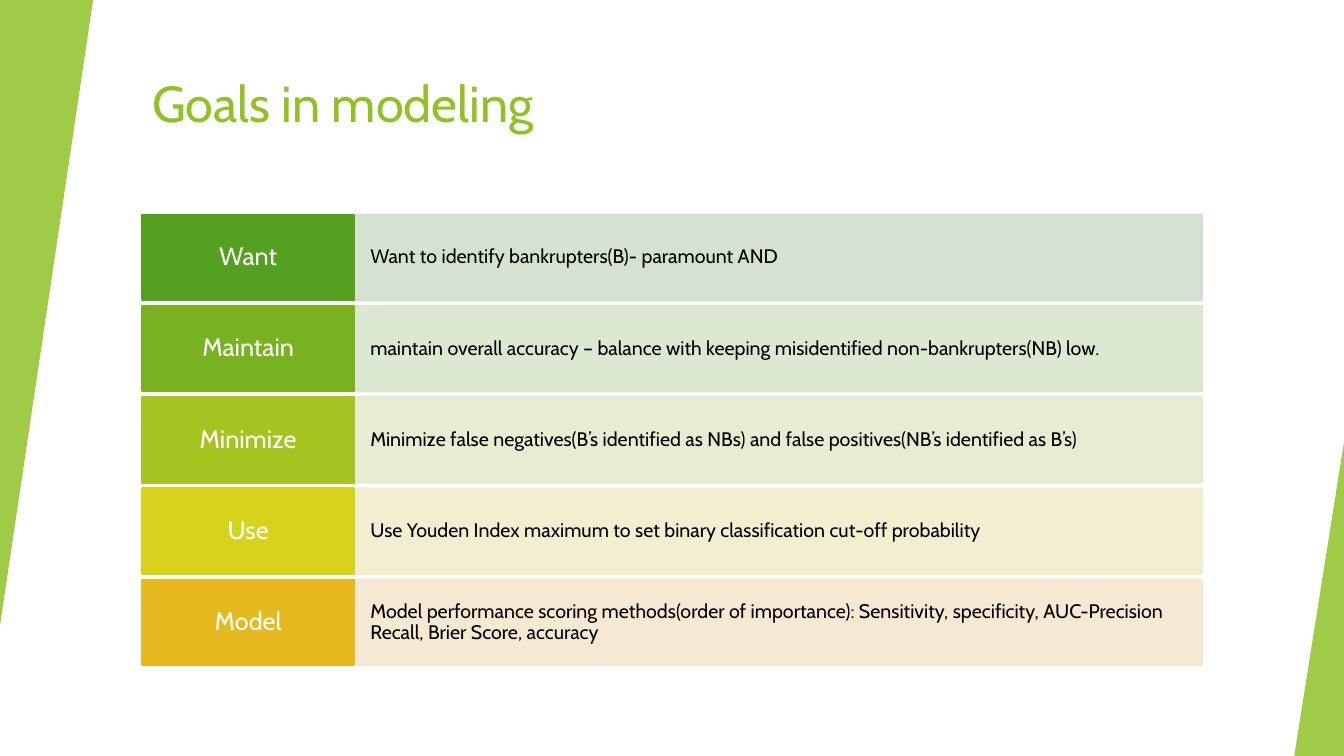
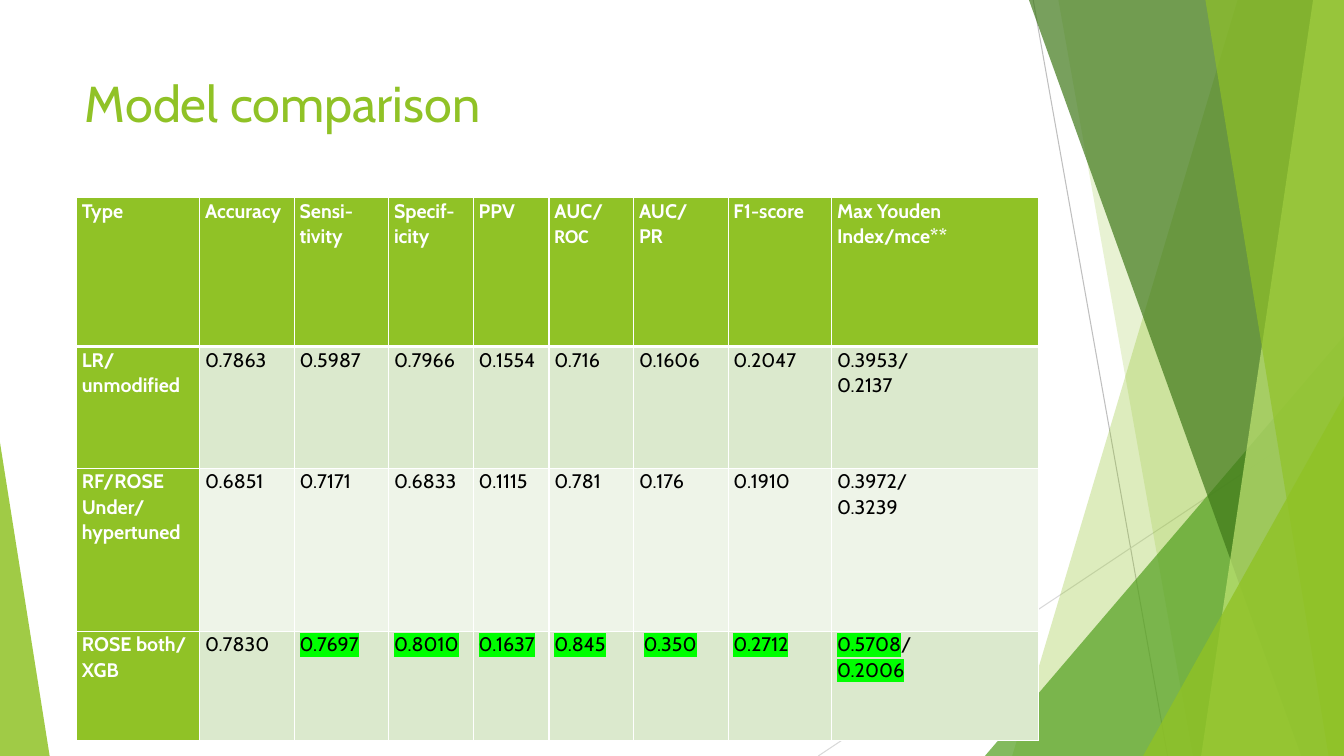
import lxml.etree
import pptx
import pptx.dml.color
import pptx.enum.shapes
import pptx.enum.text
import pptx.oxml.ns
import pptx.util

Pt = pptx.util.Pt
rgb = pptx.dml.color.RGBColor.from_string
qn = pptx.oxml.ns.qn
sub = lxml.etree.SubElement
kinds = pptx.enum.shapes.MSO_SHAPE
align = pptx.enum.text.PP_ALIGN
anchor = pptx.enum.text.MSO_ANCHOR

# Shared look
WIDE, HIGH = 960, 540
FACE = "Cabin"
LIME, LEAF, WHITE, BLACK = "90C226", "54A021", "FFFFFF", "000000"


def paint(shape, hue, alpha=100, edge=0):
    """Fill a shape, with an outline of the same colour if edge is given."""
    shape.shadow.inherit = False
    shape.fill.solid()
    shape.fill.fore_color.rgb = rgb(hue)
    if edge:
        shape.line.color.rgb = rgb(hue)
        shape.line.width = Pt(edge)
    else:
        shape.line.fill.background()
    if alpha < 100:
        for tint in shape.element.spPr.iter(qn("a:srgbClr")):
            sub(tint, qn("a:alpha"), val=str(alpha * 1000))


def wedge(slide, box, tip, hue, alpha, turn=0):
    """Add a right-angled triangle with its tip at 0 (left) or 1 (right)."""
    shape = slide.shapes.add_shape(kinds.ISOSCELES_TRIANGLE, *map(Pt, box))
    shape.adjustments[0] = tip
    shape.rotation = turn
    paint(shape, hue, alpha)


deck = pptx.Presentation()
deck.slide_width, deck.slide_height = Pt(WIDE), Pt(HIGH)

# Slides and titles
heads = [
    ("Goals in modeling", 101.5, 803),
    ("Model comparison", 53.5, 677),
]
slides = []
for text, left, width in heads:
    slide = deck.slides.add_slide(deck.slide_layouts[5])
    title = slide.shapes.title
    place = {"left": left, "top": 48, "width": width, "height": 86}
    for key, value in place.items():
        setattr(title, key, Pt(value))
    frame = title.text_frame
    frame.text = text
    frame.vertical_anchor = anchor.TOP
    frame.auto_size = pptx.enum.text.MSO_AUTO_SIZE.NONE
    para = frame.paragraphs[0]
    para.alignment = align.LEFT
    for key, value in {"name": FACE, "size": Pt(36)}.items():
        setattr(para.font, key, value)
    para.font.color.rgb = rgb(LIME)
    slides.append(slide)
goals, models = slides

# Goals: side wedges
wedge(goals, (0, 0, 66.5, 446.5), 1, LIME, 85, 180)
wedge(goals, (924.5, 316, 35.5, 224), 1, LIME, 85)

# Goals: one label and one bar for each row
rows = [
    ("Want", LEAF, "D1DFCD", "Want to identify bankrupters(B)- paramount AND"),
    ("Maintain", "79B220", "D9E6CC",
     "maintain overall accuracy – balance with keeping misidentified "
     "non-bankrupters(NB) low."),
    ("Minimize", "A5C41F", "E5ECCB",
     "Minimize false negatives(B’s identified as NBs) and false "
     "positives(NB’s identified as B’s)"),
    ("Use", "D7D31D", "F1EECC",
     "Use Youden Index maximum to set binary classification cut-off "
     "probability"),
    ("Model", "E6B91E", "F5E7CD",
     "Model performance scoring methods(order of importance): Sensitivity, "
     "specificity, AUC-Precision Recall, Brier Score, accuracy"),
]
for i, (label, dark, pale, text) in enumerate(rows):
    top = 153.5 + i * 65.15
    bars = [
        (text, 253, 605.5, pale, 90, 14, BLACK, align.LEFT, 11.5),
        (label, 101.5, 151.5, dark, 100, 18, WHITE, align.CENTER, 8),
    ]
    for words, left, width, hue, alpha, size, ink, side, pad in bars:
        bar = goals.shapes.add_shape(
            kinds.RECTANGLE, Pt(left), Pt(top), Pt(width), Pt(61))
        paint(bar, hue, alpha, 1.5)
        frame = bar.text_frame
        frame.text = words
        look = {"word_wrap": True, "vertical_anchor": anchor.MIDDLE,
                "margin_left": Pt(pad), "margin_right": Pt(pad)}
        for key, value in look.items():
            setattr(frame, key, value)
        para = frame.paragraphs[0]
        para.alignment = side
        para.line_spacing = 0.9
        for key, value in {"name": FACE, "size": Pt(size)}.items():
            setattr(para.font, key, value)
        para.font.color.rgb = rgb(ink)

# Models: thin lines behind the facets
for x1, y1, x2, y2, hue in [(738, 0, 834, HIGH, "BFBFBF"),
                            (WIDE, 290, 584.5, HIGH, "D9D9D9")]:
    line = models.shapes.add_connector(
        pptx.enum.shapes.MSO_CONNECTOR.STRAIGHT, Pt(x1), Pt(y1), Pt(x2), Pt(y2))
    line.line.color.rgb = rgb(hue)
    line.line.width = Pt(0.75)
    sub(line.element.spPr, qn("a:effectLst"))

# Models: facets, as bands (top x, foot x) or wedges (left, top) to the right edge
facets = [
    ("band", 884, 723, LIME, 30),
    ("band", 756, 852, LIME, 20),
    ("wedge", 703.5, 240, LEAF, 72),
    ("band", 735, 929.5, "3F7819", 70),
    ("band", 938, 858, "C0E474", 70),
    ("band", 861, 949, LIME, 65),
    ("wedge", 816.5, 283, LIME, 80),
]
for kind, a, b, hue, alpha in facets:
    if kind == "wedge":
        wedge(models, (a, b, WIDE - a, HIGH - b), 1, hue, alpha)
    else:
        pen = models.shapes.build_freeform(Pt(a), 0)
        ends = [(WIDE, 0), (WIDE, HIGH), (b, HIGH)]
        pen.add_line_segments([(Pt(x), Pt(y)) for x, y in ends])
        paint(pen.convert_to_shape(), hue, alpha)
wedge(models, (0, 316, 35.5, 224), 0, LIME, 85)

# Models: score table
scores = [
    ["Type", "Accuracy", "Sensi-tivity", "Specif-icity", "PPV", "AUC/\nROC",
     "AUC/\nPR", "F1-score", "Max Youden Index/mce**"],
    ["LR/\nunmodified", "0.7863", "0.5987", "0.7966", "0.1554", "0.716",
     "0.1606", "0.2047", "0.3953/\n0.2137"],
    ["RF/ROSE\nUnder/\nhypertuned", "0.6851", "0.7171", "0.6833", "0.1115",
     "0.781", "0.176", "0.1910", "0.3972/\n0.3239"],
    ["ROSE both/\nXGB", "0.7830", "0.7697", "0.8010", "0.1637", "0.845",
     "0.350", "0.2712", "0.5708/\n0.2006"],
]
widths = [88, 67.5, 67.5, 60.5, 54, 60.5, 67.5, 74, 147.5]
heights = [106.5, 87, 116.5, 78]
fills = [LIME, "DBE9CD", "EEF4E8", "DBE9CD"]
grid = models.shapes.add_table(
    len(heights), len(widths), Pt(54.75), Pt(141),
    Pt(sum(widths)), Pt(sum(heights))).table
for col, width in zip(grid.columns, widths):
    col.width = Pt(width)
for row, height in zip(grid.rows, heights):
    row.height = Pt(height)

for r, row in enumerate(scores):
    for c, text in enumerate(row):
        cell = grid.cell(r, c)
        head = r == 0 or c == 0
        best = r == 3 and c >= 2
        inset = 7 if best and c == 6 else 3.75
        pads = {"left": inset, "right": 3.75, "top": 0, "bottom": 0}
        for key, value in pads.items():
            setattr(cell, "margin_" + key, Pt(value))
        # Borders go before the fill
        props = cell._tc.get_or_add_tcPr()
        for side in "LRTB":
            thick = (r, side) in [(0, "B"), (1, "T")]
            edge = sub(props, qn("a:ln" + side), w=str(Pt(3 if thick else 1)))
            sub(sub(edge, qn("a:solidFill")), qn("a:srgbClr"), val=WHITE)
        cell.fill.solid()
        cell.fill.fore_color.rgb = rgb(LIME if head else fills[r])
        # One paragraph a line; the best scores are highlighted
        cell.text = text
        for para in cell.text_frame.paragraphs:
            words = para.text
            para.clear()
            para.line_spacing = 1.07
            for part in words.partition("/") if best else [words]:
                if not part:
                    continue
                run = para.add_run()
                run.text = part
                look = {"name": "Calibri" if part == "ROC" else FACE,
                        "size": Pt(14), "bold": head}
                for key, value in look.items():
                    setattr(run.font, key, value)
                run.font.color.rgb = rgb(WHITE if head else BLACK)
                if best and part != "/":
                    latin = run._r.find(qn("a:rPr")).find(qn("a:latin"))
                    mark = lxml.etree.Element(qn("a:highlight"))
                    sub(mark, qn("a:srgbClr"), val="00FF00")
                    latin.addprevious(mark)

deck.save("out.pptx")
